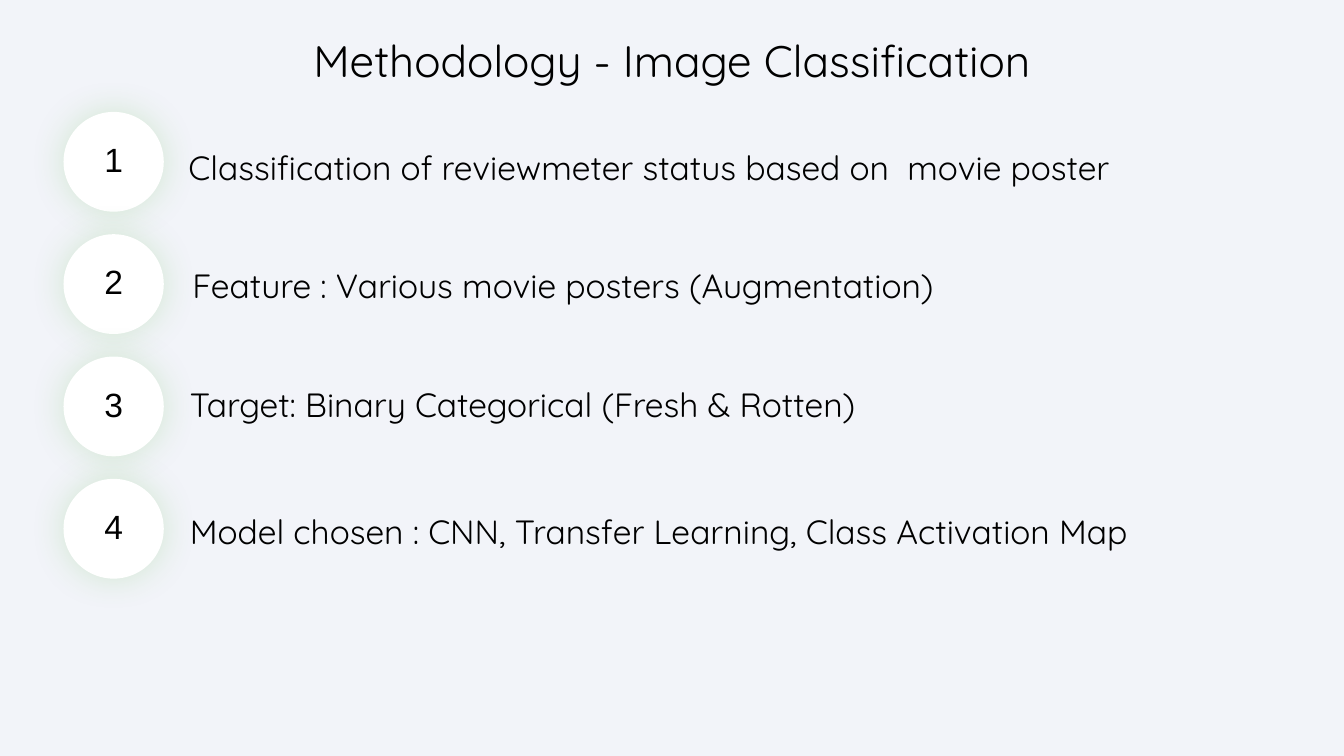
"""Build the slide that lists the image classification methodology."""
from dataclasses import dataclass

from lxml.etree import SubElement
from pptx import Presentation
from pptx.dml.color import RGBColor
from pptx.enum.shapes import MSO_SHAPE as Preset
from pptx.enum.text import MSO_ANCHOR as Anchor, PP_ALIGN as Align
from pptx.oxml.ns import qn
from pptx.util import Inches, Pt


@dataclass(frozen=True)
class Theme:
    background: str = "F2F4F9"
    badge: str = "FFFFFF"
    glow: str = "50B432"
    text: str = "000000"
    body_font: str = "Quicksand"
    number_font: str = "Arial"
    title_size: int = 63
    body_size: int = 48


THEME = Theme()
TITLE = "Methodology - Image Classification"
BADGE_LEFT, BADGE_TOP, BADGE_STEP = 1.26, 2.22, 2.427
BADGE_WIDTH, BADGE_HEIGHT = 1.99, 1.98
STEP_HEIGHT = 1.47
STEPS = [
    ("Classification of reviewmeter status based on  movie poster", 3.64, 2.82, 21.51),
    ("Feature : Various movie posters (Augmentation)", 3.72, 5.16, 19.34),
    ("Target: Binary Categorical (Fresh & Rotten)", 3.67, 7.52, 19.34),
    ("Model chosen : CNN, Transfer Learning, Class Activation Map", 3.67, 10.03, 22.45),
]


def write_text(shape, text, font, size, align, anchor, inset_x, inset_y):
    frame = shape.text_frame
    frame.word_wrap = True
    frame.vertical_anchor = anchor
    frame.margin_left = frame.margin_right = Inches(inset_x)
    frame.margin_top = frame.margin_bottom = Inches(inset_y)
    paragraph = frame.paragraphs[0]
    paragraph.alignment = align
    run = paragraph.add_run()
    run.text = text
    run.font.name = font
    run.font.size = Pt(size)
    run.font.color.rgb = RGBColor.from_string(THEME.text)
    return paragraph


def add_text(slide, text, box, size, align, anchor, inset):
    shape = slide.shapes.add_textbox(*map(Inches, box))
    write_text(shape, text, THEME.body_font, size, align, anchor, inset, inset)


def add_glow(shape):
    shape.shadow.inherit = False
    effects = shape._element.spPr.find(qn("a:effectLst"))
    shadow = SubElement(effects, qn("a:outerShdw"), blurRad=str(Pt(50)),
                        dist="0", dir="0", algn="ctr", rotWithShape="0")
    color = SubElement(shadow, qn("a:srgbClr"), val=THEME.glow)
    SubElement(color, qn("a:alpha"), val="20000")


def add_badge(slide, number, top):
    box = (BADGE_LEFT, top, BADGE_WIDTH, BADGE_HEIGHT)
    badge = slide.shapes.add_shape(Preset.OVAL, *map(Inches, box))
    badge.fill.solid()
    badge.fill.fore_color.rgb = RGBColor.from_string(THEME.badge)
    badge.line.fill.background()
    add_glow(badge)
    paragraph = write_text(badge, str(number), THEME.number_font, THEME.body_size,
                           Align.CENTER, Anchor.MIDDLE, 0.27, 0.13)
    paragraph.line_spacing = 0.9


def main():
    presentation = Presentation()
    presentation.slide_width = Inches(26.67)
    presentation.slide_height = Inches(15)
    slide = presentation.slides.add_slide(presentation.slide_layouts[6])
    slide.background.fill.solid()
    slide.background.fill.fore_color.rgb = RGBColor.from_string(THEME.background)

    add_text(slide, TITLE, (1.27, 0.61, 24.12, 1.17), THEME.title_size,
             Align.CENTER, Anchor.MIDDLE, 0.06)
    for index, (text, left, top, width) in enumerate(STEPS):
        add_badge(slide, index + 1, BADGE_TOP + index * BADGE_STEP)
        add_text(slide, text, (left, top, width, STEP_HEIGHT), THEME.body_size,
                 Align.LEFT, Anchor.TOP, 0.1)
    presentation.save("out.pptx")


if __name__ == "__main__":
    main()
